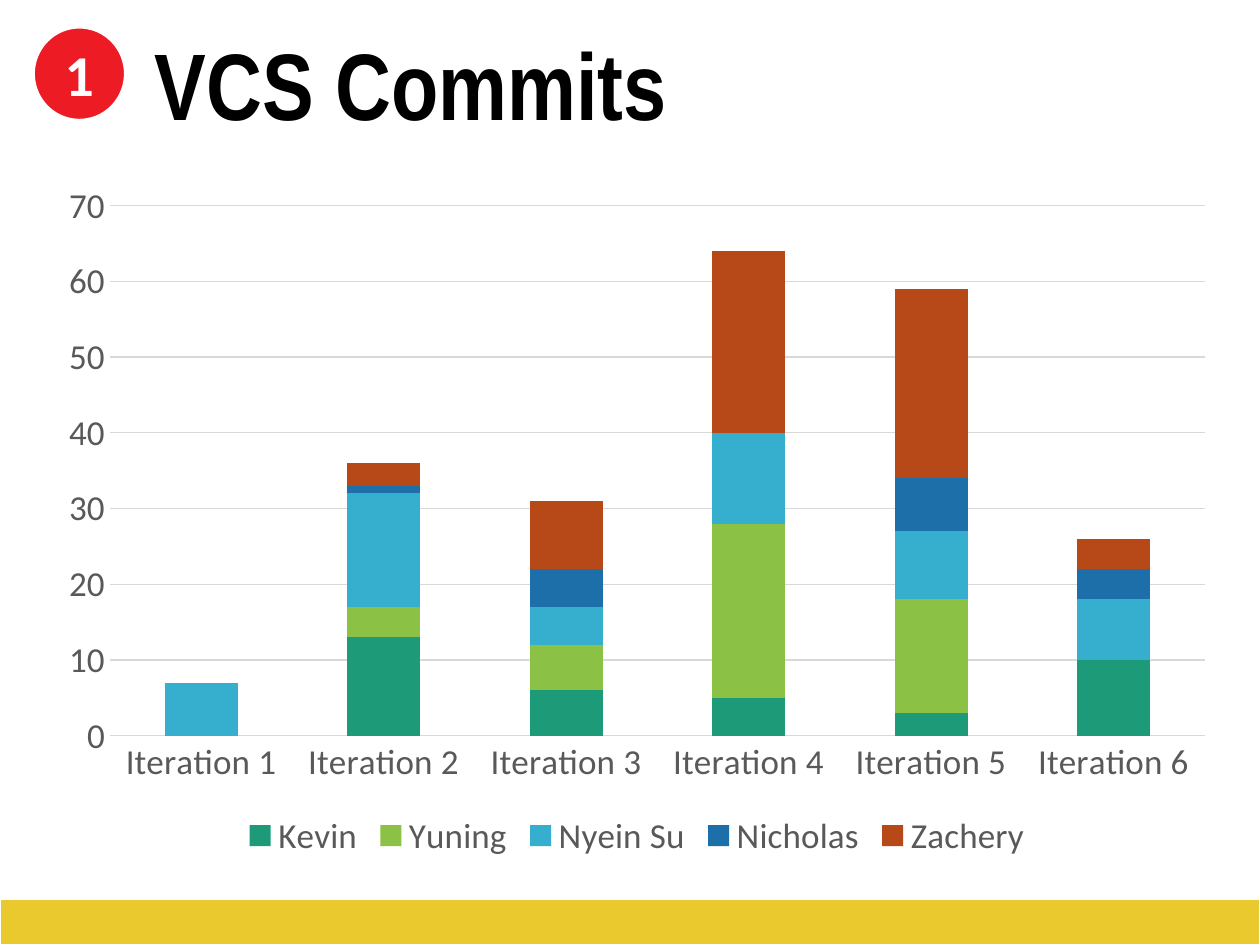
"""Build the code commits slide with a stacked column chart."""
from pptx import Presentation
from pptx.chart.data import CategoryChartData
from pptx.dml.color import RGBColor
from pptx.enum.chart import XL_CHART_TYPE as ChartType, XL_LEGEND_POSITION as LegendPosition
from pptx.enum.chart import XL_TICK_MARK as TickMark
from pptx.enum.shapes import MSO_SHAPE as Shape
from pptx.enum.text import MSO_ANCHOR as Anchor, PP_ALIGN as Align
from pptx.util import Inches, Pt

TITLE = "VCS Commits"
NUMBER = "1"
ITERATIONS = [f"Iteration {n}" for n in range(1, 7)]
COMMITS = {
    "Kevin": (0, 13, 6, 5, 3, 10),
    "Yuning": (0, 4, 6, 23, 15, None),
    "Nyein Su": (7, 15, 5, 12, 9, 8),
    "Nicholas": (0, 1, 5, 0, 7, 4),
    "Zachery": (0, 3, 9, 24, 25, 4),
}
COLORS = {
    "Kevin": "1D9A78", "Yuning": "8BC145", "Nyein Su": "36AFCE",
    "Nicholas": "1D6FA9", "Zachery": "B74919",
    "badge": "ED1C24", "band": "E9C92D", "white": "FFFFFF",
    "title": "000000", "label": "595959", "grid": "D9D9D9",
}
WIDTH, HEIGHT = 10, 7.5
BAND_HEIGHT = 0.36


def color(name):
    return RGBColor.from_string(COLORS[name])


def box(left, top, width, height):
    return [Inches(length) for length in (left, top, width, height)]


def style_font(font, name, size, color_name, bold=False):
    font.name, font.size, font.bold = name, Pt(size), bold
    font.color.rgb = color(color_name)


def style_line(line, color_name, width):
    line.color.rgb = color(color_name)
    line.width = Pt(width)


def add_filled(slide, kind, area, fill):
    shape = slide.shapes.add_shape(kind, *box(*area))
    shape.shadow.inherit = False
    shape.fill.solid()
    shape.fill.fore_color.rgb = color(fill)
    style_line(shape.line, "white", 1)
    return shape


def add_commits(slide):
    data = CategoryChartData()
    data.categories = ITERATIONS
    for person, counts in COMMITS.items():
        data.add_series(person, counts)
    chart = slide.shapes.add_chart(
        ChartType.COLUMN_STACKED, *box(0.36, 1.35, 9.39, 5.51), data).chart
    chart.has_title = False
    style_font(chart.font, "Calibri", 20, "label")

    plot = chart.plots[0]
    plot.gap_width, plot.overlap = 150, 100
    plot.vary_by_categories = False
    for series in plot.series:
        series.format.fill.solid()
        series.format.fill.fore_color.rgb = color(series.name)

    iterations, counts = chart.category_axis, chart.value_axis
    for axis in (iterations, counts):
        axis.major_tick_mark = axis.minor_tick_mark = TickMark.NONE
        style_font(axis.tick_labels.font, "Calibri", 20, "label")
    style_line(iterations.format.line, "grid", 0.75)
    counts.format.line.fill.background()
    counts.minimum_scale, counts.maximum_scale, counts.major_unit = 0, 70, 10
    style_line(counts.major_gridlines.format.line, "grid", 0.75)

    chart.has_legend = True
    chart.legend.position = LegendPosition.BOTTOM
    chart.legend.include_in_layout = False
    style_font(chart.legend.font, "Calibri", 20, "label")


def main():
    deck = Presentation()
    deck.slide_width, deck.slide_height = Inches(WIDTH), Inches(HEIGHT)
    slide = deck.slides.add_slide(deck.slide_layouts[5])

    add_commits(slide)

    badge = add_filled(slide, Shape.OVAL, (0.27, 0.22, 0.72, 0.73), "badge")
    badge.text_frame.text = NUMBER
    badge.text_frame.vertical_anchor = Anchor.MIDDLE
    number = badge.text_frame.paragraphs[0]
    number.alignment = Align.CENTER
    style_font(number.runs[0].font, "Calibri", 33, "white", bold=True)

    add_filled(slide, Shape.RECTANGLE,
               (0, HEIGHT - BAND_HEIGHT, WIDTH, BAND_HEIGHT), "band")

    title = slide.shapes.title
    title.left, title.top, title.width, title.height = box(1.13, 0.16, 6.82, 1.01)
    title.text_frame.text = TITLE
    title.text_frame.vertical_anchor = Anchor.TOP
    heading = title.text_frame.paragraphs[0]
    heading.alignment = Align.LEFT
    style_font(heading.runs[0].font, "Arial Narrow", 54, "title", bold=True)

    deck.save("out.pptx")


if __name__ == "__main__":
    main()
